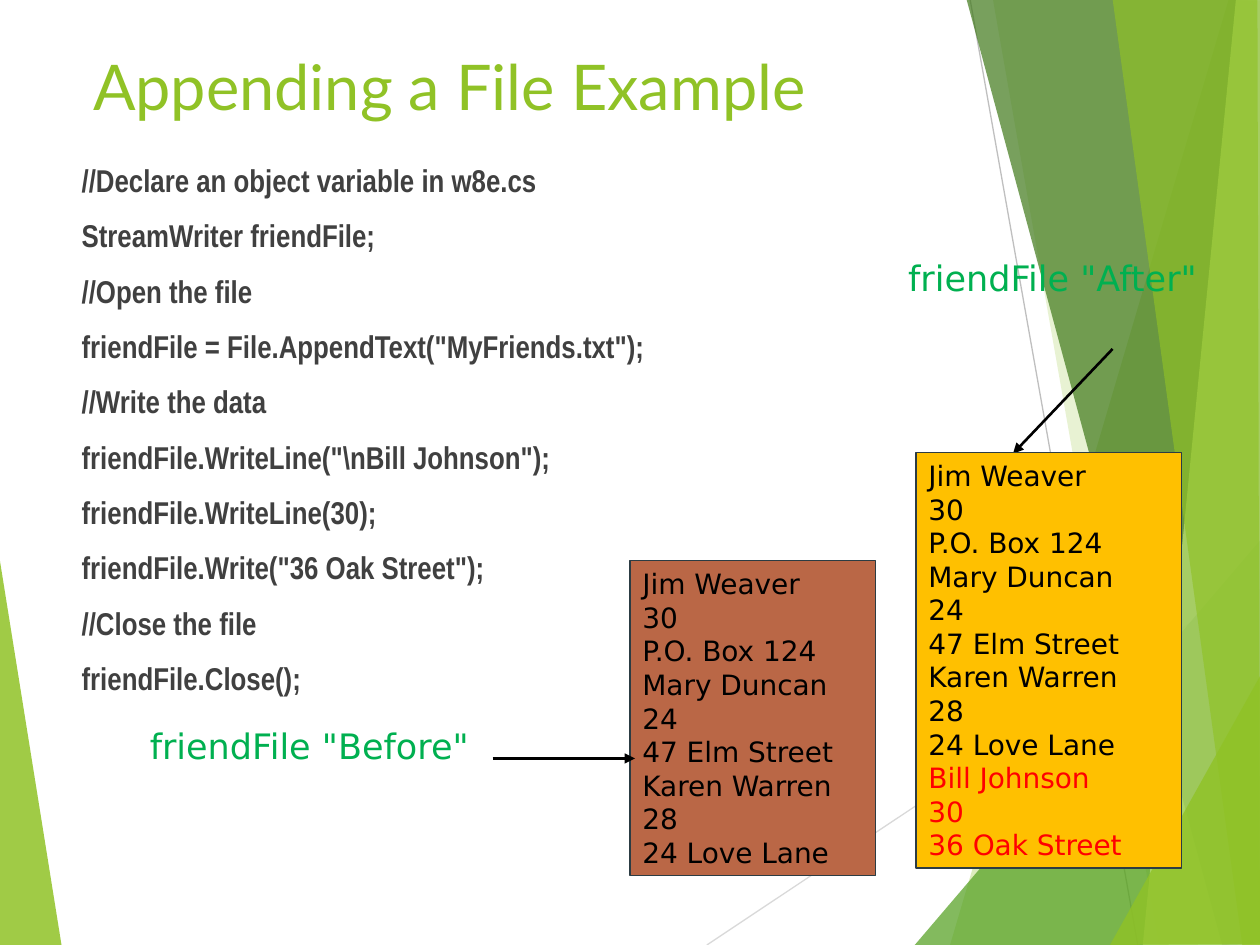
"""Build the slide on appending records to a text file."""
from lxml import etree
from pptx import Presentation
from pptx.dml.color import RGBColor
from pptx.enum import shapes, text
from pptx.oxml import ns
from pptx.util import Inches, Pt

GREEN = RGBColor(0x90, 0xC2, 0x26)
MID_GREEN = RGBColor(0x54, 0xA0, 0x21)
DARK_GREEN = RGBColor(0x3F, 0x78, 0x19)
PALE_GREEN = RGBColor(0xC0, 0xE4, 0x74)
LABEL_GREEN = RGBColor(0x00, 0xB0, 0x50)
LIGHT_GRAY = RGBColor(0xD9, 0xD9, 0xD9)
GRAY = RGBColor(0xBF, 0xBF, 0xBF)
CODE_GRAY = RGBColor(0x40, 0x40, 0x40)
BORDER = RGBColor(0x2C, 0x3C, 0x43)
BROWN = RGBColor(0xBA, 0x67, 0x46)
AMBER = RGBColor(0xFF, 0xC0, 0x00)
BLACK = RGBColor(0x00, 0x00, 0x00)
RED = RGBColor(0xFF, 0x00, 0x00)

TITLE_FONT, CODE_FONT, FILE_FONT = "Lato", "Arial Narrow", "DejaVu Sans"

FACETS = [
    ([(9.75, 0), (7.54, 7.5), (10.02, 7.51), (10.01, 0.01)], GREEN, 30),
    ([(7.88, -0.01), (9.2, 7.5), (10.01, 7.5), (10.01, -0.01)], GREEN, 20),
    ([(7.26, 7.5), (10, 4.29), (10.01, 7.5)], MID_GREEN, 72),
    ([(7.67, -0.01), (9.7, 7.5), (10.01, 7.49), (10.01, -0.01)], DARK_GREEN, 70),
    ([(9.81, -0.01), (9.07, 7.5), (10.01, 7.5), (10, -0.01)], PALE_GREEN, 70),
    ([(8.83, -0.01), (9.86, 7.5), (10, 7.5), (9.98, -0.01)], GREEN, 65),
    ([(8.81, 7.5), (10.01, 5.35), (10.01, 7.49)], GREEN, 80),
]
LEFT_FACET = ([(-0.01, 4.39), (0.49, 7.51), (-0.01, 7.5)], GREEN, 85)

CODE = [
    "//Declare an object variable in w8e.cs",
    "StreamWriter friendFile;",
    "//Open the file",
    'friendFile = File.AppendText("MyFriends.txt");',
    "//Write the data",
    'friendFile.WriteLine("\\nBill Johnson");',
    "friendFile.WriteLine(30);",
    'friendFile.Write("36 Oak Street");',
    "//Close the file",
    "friendFile.Close();",
]
RECORDS = [
    "Jim Weaver", "30", "P.O. Box 124",
    "Mary Duncan", "24", "47 Elm Street",
    "Karen Warren", "28", "24 Love Lane",
]
APPENDED = ["Bill Johnson", "30", "36 Oak Street"]


def add_facet(s, points, color, opacity):
    """Draw a translucent polygon of the background."""
    fb = s.shapes.build_freeform(*map(Inches, points[0]), scale=1.0)
    fb.add_line_segments([(Inches(x), Inches(y)) for x, y in points[1:]])
    sp = fb.convert_to_shape()
    sp.shadow.inherit = False
    sp.fill.solid()
    sp.fill.fore_color.rgb = color
    sp.line.fill.background()
    clr = sp.fill._xPr.find(".//" + ns.qn("a:srgbClr"))
    etree.SubElement(clr, ns.qn("a:alpha"), val=str(opacity * 1000))


def add_line(s, start, end, color, width, arrow=False):
    """Draw a straight line, with an arrowhead at its end on request."""
    ends = [Inches(v) for v in (*start, *end)]
    cxn = s.shapes.add_connector(shapes.MSO_CONNECTOR.STRAIGHT, *ends)
    cxn.line.color.rgb = color
    cxn.line.width = Pt(width)
    if arrow:
        etree.SubElement(cxn.line._get_or_add_ln(), ns.qn("a:tailEnd"), type="triangle")
    etree.SubElement(cxn._element.spPr, ns.qn("a:effectLst"))


def write_lines(sp, lines, font, size, color, bold=False, space=0):
    """Fill a shape with one left-aligned paragraph for each line."""
    tf = sp.text_frame
    tf.word_wrap = True
    tf.vertical_anchor = text.MSO_ANCHOR.TOP
    tf.text = "\n".join(lines)
    for p in tf.paragraphs:
        p.alignment = text.PP_ALIGN.LEFT
        p.space_before = Pt(space)
        p.font.name = font
        p.font.size = Pt(size)
        p.font.bold = bold
        p.font.color.rgb = color
    return tf


def add_text(s, box, lines, *style, **options):
    """Add a text box."""
    sp = s.shapes.add_textbox(*map(Inches, box))
    return write_lines(sp, lines, *style, **options)


def add_file(s, box, lines, fill):
    """Add a bordered rectangle that lists the content of a file."""
    sp = s.shapes.add_shape(shapes.MSO_SHAPE.RECTANGLE, *map(Inches, box))
    sp.shadow.inherit = False
    sp.fill.solid()
    sp.fill.fore_color.rgb = fill
    sp.line.color.rgb = BORDER
    sp.line.width = Pt(0.75)
    return write_lines(sp, lines, FILE_FONT, 16, BLACK)


def add_background(s):
    """Draw the green facets and the thin gray lines."""
    add_facet(s, *LEFT_FACET)
    add_line(s, (5.61, 7.5), (10.01, 4.57), LIGHT_GRAY, 0.75)
    add_line(s, (7.7, 0), (9.03, 7.5), GRAY, 0.75)
    for facet in FACETS:
        add_facet(s, *facet)


def add_code(s):
    """Add the code with a hanging indent."""
    tf = add_text(s, (0.55, 1.23, 6.94, 5.06), CODE, CODE_FONT, 18, CODE_GRAY,
                  bold=True, space=10)
    for p in tf.paragraphs:
        pPr = p._p.get_or_add_pPr()
        pPr.set("marL", str(Inches(0.38)))
        pPr.set("indent", str(Inches(-0.38)))


def main():
    """Build and save the slide."""
    prs = Presentation()
    prs.slide_width, prs.slide_height = Inches(10), Inches(7.5)
    s = prs.slides.add_slide(prs.slide_layouts[6])
    add_background(s)
    add_text(s, (0.64, 0.33, 6.94, 1.44), ["Appending a File Example"],
             TITLE_FONT, 36, GREEN)
    add_code(s)
    add_text(s, (7.11, 1.99, 2.67, 0.44), ['friendFile "After"'],
             FILE_FONT, 20, LABEL_GREEN)
    add_line(s, (8.83, 2.77), (8.04, 3.6), BLACK, 1.5, arrow=True)
    add_file(s, (5, 4.45, 1.95, 2.5), RECORDS, BROWN)
    add_text(s, (1.09, 5.7, 2.82, 0.44), ['friendFile "Before"'],
             FILE_FONT, 20, LABEL_GREEN)
    after = add_file(s, (7.27, 3.59, 2.11, 3.3), RECORDS + APPENDED, AMBER)
    for p in after.paragraphs[len(RECORDS):]:
        p.font.color.rgb = RED
    add_line(s, (3.91, 6.02), (5.04, 6.02), BLACK, 1.5, arrow=True)
    prs.save("out.pptx")


if __name__ == "__main__":
    main()
